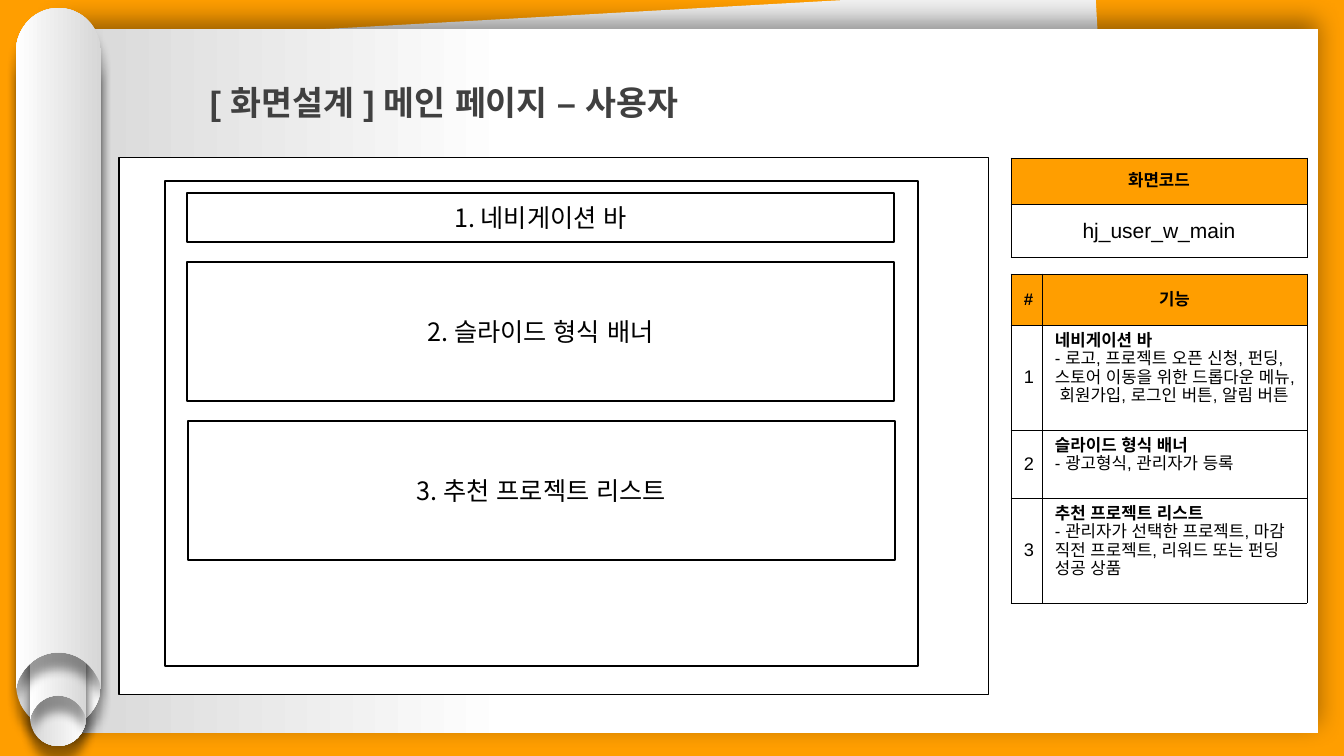
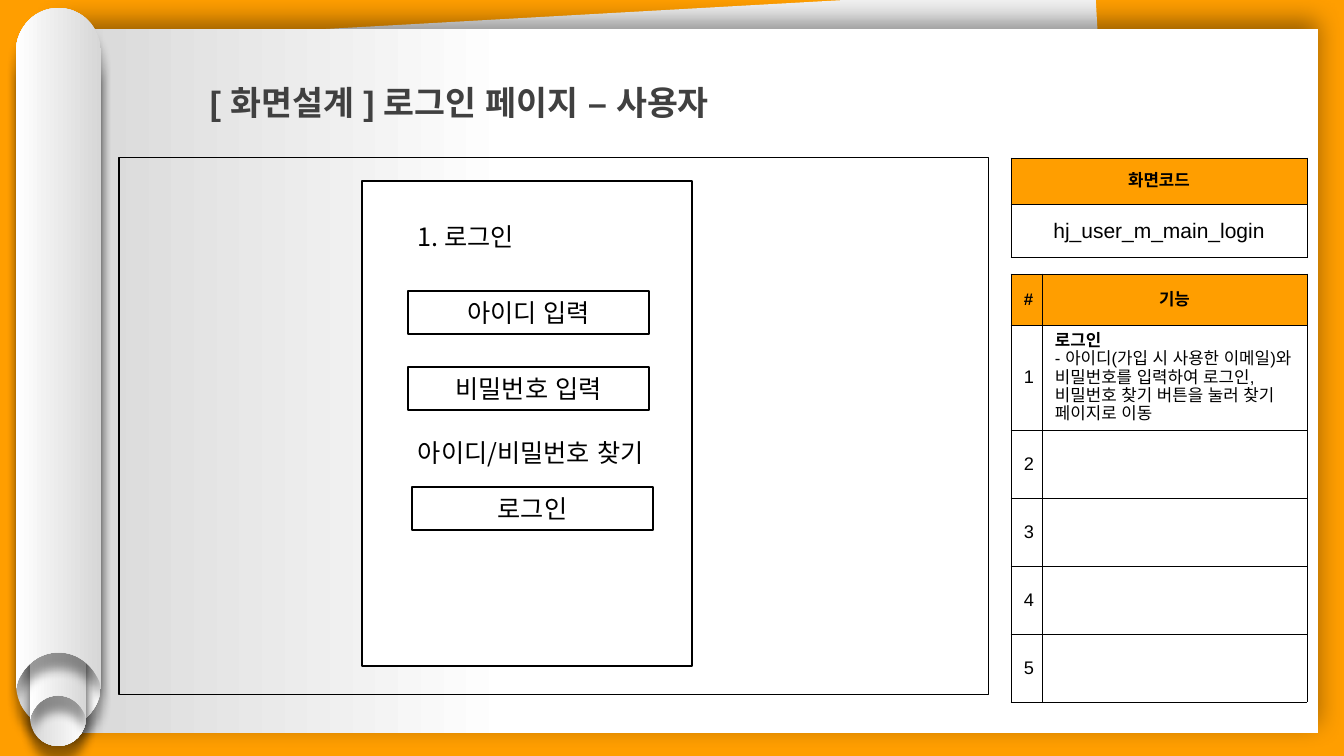
from lxml import etree
from pptx import Presentation
from pptx import util as u
from pptx.dml.color import RGBColor
from pptx.enum import shapes, text
from pptx.oxml.ns import qn

# Shared style
PX = 12192000 / 1344
ORANGE = RGBColor(0xFF, 0x9E, 0x00)
BLACK = RGBColor(0, 0, 0)
WHITE = RGBColor(0xFF, 0xFF, 0xFF)
SILVER = RGBColor(0xD7, 0xD7, 0xD7)
PALE = RGBColor(0xF2, 0xF2, 0xF2)
DARK = RGBColor(0x40, 0x40, 0x40)
LATIN, KOREAN = "Arial", "Noto Sans CJK KR"
CENTER = text.PP_ALIGN.CENTER
MIDDLE = text.MSO_ANCHOR.MIDDLE

# Paper rolls from back to front: left, top, width, height, rotation
ROLLS = [
    (16, 48, 85, 680, 180),
    (30, 290, 56, 456, 180),
    (30, 263, 56, 456, 0),
    (16, 8, 85, 680, 0),
]
# Right half of a roll in widths: offset from the middle, height from top or bottom
DOME = [(0, 0), (0.28, 0), (0.5, 0.23), (0.5, 0.52)]
ARCH = [(0.48, 0.08), (0.39, 0.29), (0.21, 0.42), (0, 0.42)]

# Content; a widget is label, (left, top, width, height), outlined, fill
SCREENS = [
    {
        "title": "[ 화면설계 ] 메인 페이지 – 사용자",
        "code": "hj_user_w_main",
        "frame_fill": WHITE,
        "widgets": [
            ("", (165, 181, 753, 485), True, None),
            ("1. 네비게이션 바", (187, 193, 707, 49), True, None),
            ("2. 슬라이드 형식 배너", (187, 262, 707, 139), True, None),
            ("3. 추천 프로젝트 리스트", (188, 421, 707, 139), True, None),
        ],
        "features": [
            (105, "네비게이션 바", "- 로고, 프로젝트 오픈 신청, 펀딩, 스토어 이동을 위한 "
                             "드롭다운 메뉴, 회원가입, 로그인 버튼, 알림 버튼"),
            (68, "슬라이드 형식 배너", "- 광고형식, 관리자가 등록"),
            (105, "추천 프로젝트 리스트", "- 관리자가 선택한 프로젝트, 마감 직전 프로젝트, "
                                "리워드 또는 펀딩 성공 상품"),
        ],
    },
    {
        "title": "[ 화면설계 ] 로그인 페이지 – 사용자",
        "code": "hj_user_m_main_login",
        "frame_fill": None,
        "widgets": [
            ("", (362, 181, 330, 485), True, WHITE),
            ("아이디 입력", (408, 291, 241, 43), True, None),
            ("비밀번호 입력", (408, 367, 241, 43), True, None),
            ("1. 로그인", (408, 216, 192, 40), False, None),
            ("로그인", (412, 487, 241, 43), True, None),
            ("아이디/비밀번호 찾기", (408, 432, 348, 40), False, None),
        ],
        "features": [
            (105, "로그인", "- 아이디(가입 시 사용한 이메일)와 비밀번호를 입력하여 로그인, "
                         "비밀번호 찾기 버튼을 눌러 찾기 페이지로 이동"),
        ] + [(68, "", "")] * 4,
    },
]


def emu(pixels):
    return u.Emu(round(pixels * PX))


def format_text(paragraph, size, color=BLACK, bold=False, latin=LATIN, align=None, spacing=None):
    paragraph.alignment = align
    paragraph.line_spacing = spacing
    for run in paragraph.runs:
        font = run.font
        font.size, font.bold = u.Pt(size), bold
        font.color.rgb = color
        font.name = latin
        etree.SubElement(font._element, qn("a:ea"), typeface=LATIN)


def add_box(slide, place, fill=None, line_width=None):
    shape = slide.shapes.add_shape(shapes.MSO_SHAPE.RECTANGLE, *map(emu, place))
    shape.shadow.inherit = False
    if fill is None:
        shape.fill.background()
    else:
        shape.fill.solid()
        shape.fill.fore_color.rgb = fill
    if line_width is None:
        shape.line.fill.background()
    else:
        shape.line.color.rgb = BLACK
        shape.line.width = u.Pt(line_width)
    return shape


def add_text_box(slide, place, words):
    frame = slide.shapes.add_textbox(*map(emu, place)).text_frame
    frame.word_wrap = True
    frame.auto_size = text.MSO_AUTO_SIZE.SHAPE_TO_FIT_TEXT
    frame.text = words
    return frame.paragraphs[0]


def set_gradient(shape, stops):
    shape.fill.gradient()
    shape.fill.gradient_angle = 180
    for stop, (position, color) in zip(shape.fill.gradient_stops, stops):
        stop.position = position
        stop.color.rgb = color


def set_shadow(shape, blur, distance, direction):
    shape.shadow.inherit = False
    effects = shape._element.spPr.find(qn("a:effectLst"))
    shadow = etree.SubElement(
        effects, qn("a:outerShdw"), blurRad=str(u.Pt(blur)), dist=str(u.Pt(distance)),
        dir=str(direction * 60000), algn="ctr", rotWithShape="0")
    color = etree.SubElement(shadow, qn("a:srgbClr"), val="000000")
    etree.SubElement(color, qn("a:alpha"), val="40000")


def bend(shape, starts):
    # Join three line segments into one curve at each start
    segments = list(shape._element.iter(qn("a:lnTo")))
    for start in starts:
        curve = etree.Element(qn("a:cubicBezTo"))
        segments[start].addprevious(curve)
        for segment in segments[start:start + 3]:
            curve.append(segment[0])
            segment.getparent().remove(segment)


def add_roll(slide, left, top, width, height, rotation):
    # Domed top, arched cut at the bottom
    middle, bottom = left + width / 2, top + height
    dome = [(x, top + y * width) for x, y in DOME]
    arch = [(x, bottom - y * width) for x, y in ARCH]
    half = dome + [(0.5, bottom)] + arch
    mirrored = [(-x, y) for x, y in reversed(half[:-1])]
    points = [(emu(middle + x * width), emu(y)) for x, y in half + mirrored]
    builder = slide.shapes.build_freeform(*points[0], scale=1.0)
    builder.add_line_segments(points[1:], close=True)
    roll = builder.convert_to_shape()
    bend(roll, (0, 5, 8, 13))
    roll.rotation = rotation
    roll.line.fill.background()
    set_gradient(roll, [(0, SILVER), (1, WHITE)])
    set_shadow(roll, 7, 11, 90)


def add_backdrop(slide):
    sheet = add_box(slide, (92, 14, 1023, 685), PALE)
    sheet.rotation = 356.8
    page = add_box(slide, (58, 29, 1260, 704), WHITE)
    set_gradient(page, [(0.64, WHITE), (1, SILVER)])
    set_shadow(page, 18, 6, 270)
    for roll in ROLLS:
        add_roll(slide, *roll)


def set_borders(cell):
    properties = cell._tc.get_or_add_tcPr()
    for index, side in enumerate(("lnL", "lnR", "lnT", "lnB")):
        line = etree.Element(qn("a:" + side), w=str(u.Pt(0.75)))
        fill = etree.SubElement(line, qn("a:solidFill"))
        etree.SubElement(fill, qn("a:srgbClr"), val=str(BLACK))
        properties.insert(index, line)


def add_grid(slide, top, columns, heights):
    graphic = slide.shapes.add_table(
        len(heights), len(columns), emu(1011), emu(top), emu(sum(columns)), emu(sum(heights)))
    table = graphic.table
    table.first_row = table.horz_banding = False
    for column, width in zip(table.columns, columns):
        column.width = emu(width)
    for index, (row, height) in enumerate(zip(table.rows, heights)):
        row.height = emu(height)
        for cell in row.cells:
            cell.margin_left = cell.margin_right = emu(13)
            cell.margin_top = cell.margin_bottom = emu(7)
            if index == 0:
                cell.fill.solid()
                cell.fill.fore_color.rgb = ORANGE
            else:
                cell.fill.background()
            set_borders(cell)
    return table


def fill_centered(cell, words, size, bold=False):
    cell.text = words
    cell.vertical_anchor = MIDDLE
    format_text(cell.text_frame.paragraphs[0], size, bold=bold, align=CENTER)


def add_code_table(slide, code):
    table = add_grid(slide, 158, [296], [46, 54])
    fill_centered(table.cell(0, 0), "화면코드", 12, True)
    fill_centered(table.cell(1, 0), code, 15)


def add_feature_table(slide, features):
    table = add_grid(slide, 274, [31, 265], [51] + [height for height, *_ in features])
    for column, heading in enumerate(("#", "기능")):
        fill_centered(table.cell(0, column), heading, 12, True)
    for number, (_, name, detail) in enumerate(features, 1):
        fill_centered(table.cell(number, 0), str(number), 13)
        if name:
            frame = table.cell(number, 1).text_frame
            frame.text = name + "\n" + detail
            for paragraph, bold in zip(frame.paragraphs, (True, False)):
                format_text(paragraph, 12, bold=bold, spacing=u.Pt(13))


def add_widget(slide, label, place, outlined, fill):
    if not outlined:
        format_text(add_text_box(slide, place, label), 18, latin=KOREAN)
        return
    frame = add_box(slide, place, fill, 1).text_frame
    if label:
        frame.text = label
        frame.vertical_anchor = MIDDLE
        format_text(frame.paragraphs[0], 18, latin=KOREAN, align=CENTER)


# Build the slides
presentation = Presentation()
presentation.slide_width, presentation.slide_height = emu(1344), emu(756)
for screen in SCREENS:
    slide = presentation.slides.add_slide(presentation.slide_layouts[6])
    slide.background.fill.solid()
    slide.background.fill.fore_color.rgb = ORANGE
    add_backdrop(slide)
    title = add_text_box(slide, (200, 57, 1063, 64), screen["title"])
    format_text(title, 24, DARK, True, spacing=1.5)
    add_code_table(slide, screen["code"])
    add_box(slide, (119, 158, 870, 537), screen["frame_fill"], 0.75)
    add_feature_table(slide, screen["features"])
    for widget in screen["widgets"]:
        add_widget(slide, *widget)
presentation.save("out.pptx")
